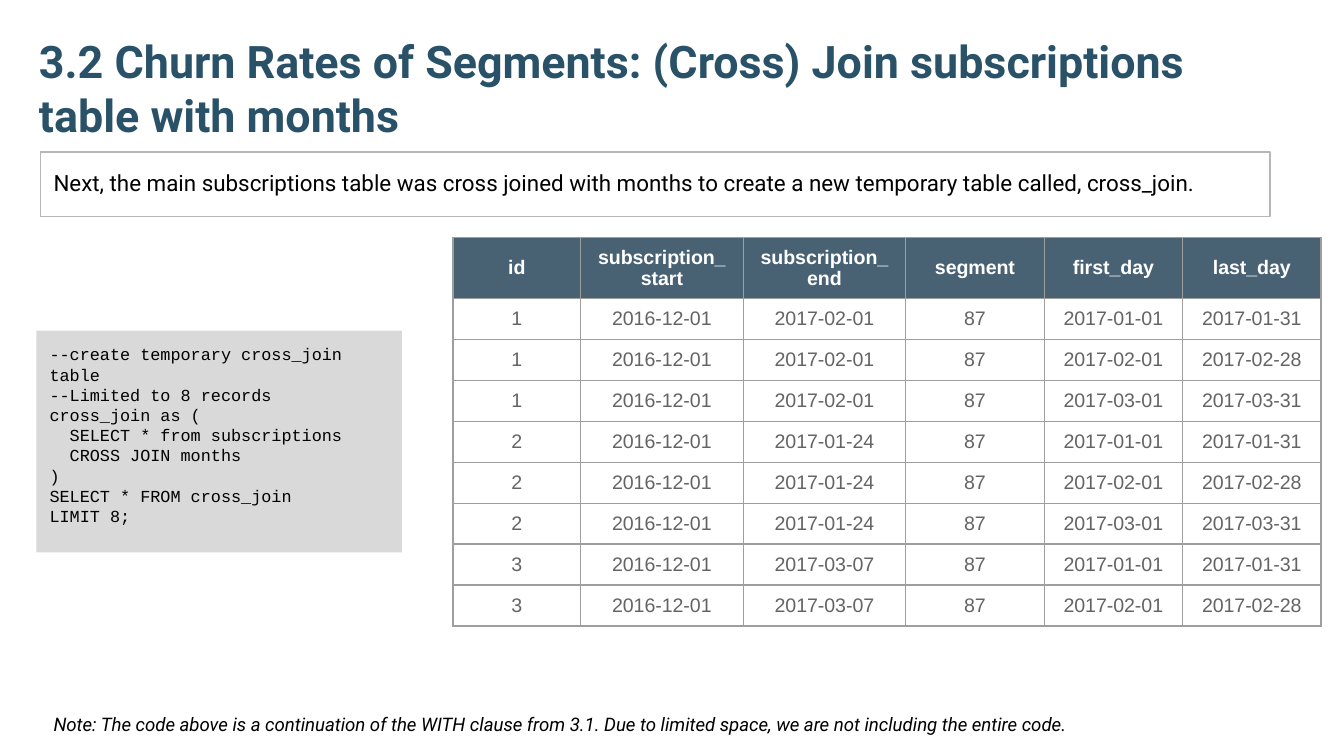
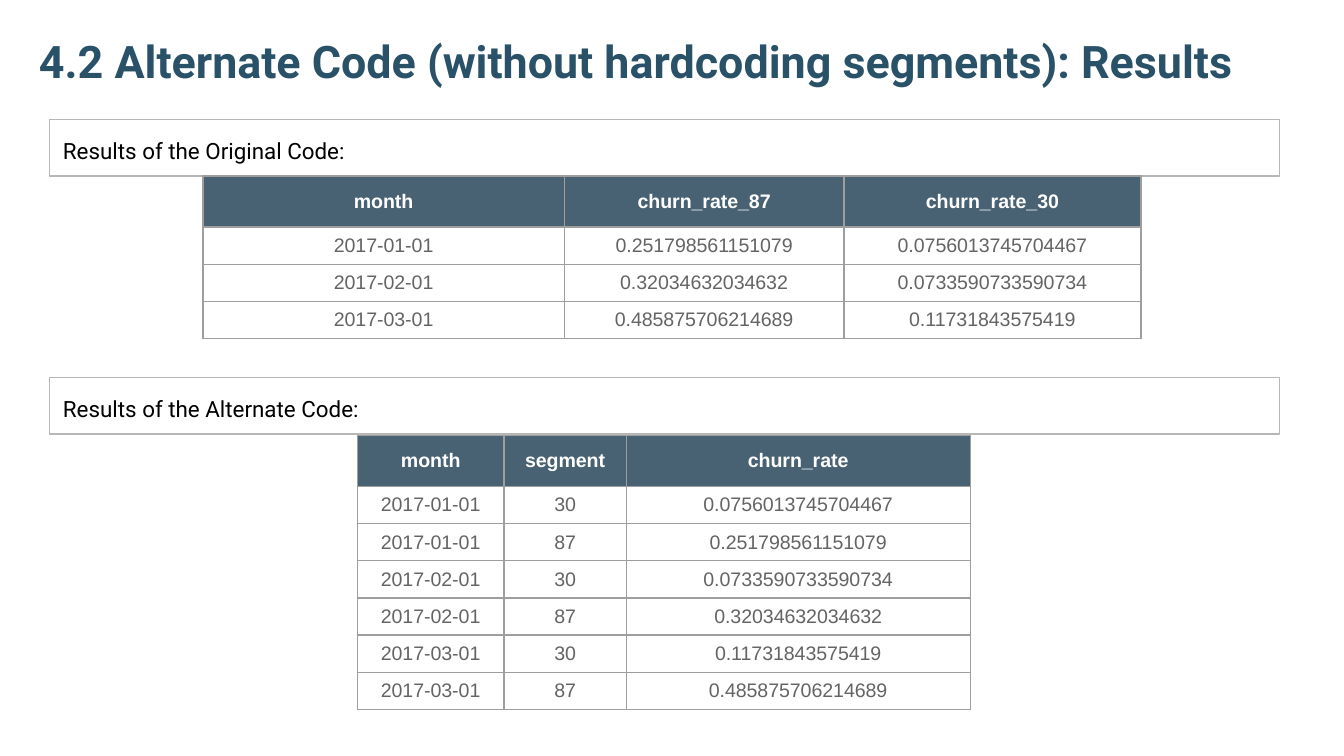
import itertools

import lxml.etree
import pptx
import pptx.dml.color
import pptx.enum.shapes
import pptx.enum.text
import pptx.oxml.ns
import pptx.util

# Content: slide 1, subscriptions cross joined with months
JOIN_TITLE = "3.2 Churn Rates of Segments: (Cross) Join subscriptions table with months"
JOIN_INTRO = ("Next, the main subscriptions table was cross joined with months "
              "to create a new temporary table called, cross_join.")
JOIN_CODE = [
    "--create temporary cross_join table",
    "--Limited to 8 records",
    "cross_join as (",
    "  SELECT * from subscriptions",
    "  CROSS JOIN months",
    ")",
    "SELECT * FROM cross_join",
    "LIMIT 8;",
]
JOIN_NOTE = ("Note: The code above is a continuation of the WITH clause from 3.1. "
             "Due to limited space, we are not including the entire code.")
JOIN_HEADER = ("id", "subscription_start", "subscription_end",
               "segment", "first_day", "last_day")
SUBSCRIPTIONS = [
    ("1", "2016-12-01", "2017-02-01", "87"),
    ("2", "2016-12-01", "2017-01-24", "87"),
    ("3", "2016-12-01", "2017-03-07", "87"),
]
MONTHS = [
    ("2017-01-01", "2017-01-31"),
    ("2017-02-01", "2017-02-28"),
    ("2017-03-01", "2017-03-31"),
]
JOIN_LIMIT = 8

# Content: slide 2, churn rates per month and segment
RESULTS_TITLE = "4.2 Alternate Code (without hardcoding segments): Results"
CHURN_RATES = [  # month, segment 87, segment 30
    ("2017-01-01", "0.251798561151079", "0.0756013745704467"),
    ("2017-02-01", "0.32034632034632", "0.0733590733590734"),
    ("2017-03-01", "0.485875706214689", "0.11731843575419"),
]
CHURN_BY_SEGMENT = [
    (month, segment, rate)
    for month, rate_87, rate_30 in CHURN_RATES
    for segment, rate in (("30", rate_30), ("87", rate_87))
]
RESULTS = [  # caption, caption top, table left, top and height, column widths, rows
    ("Results of the Original Code:", 0.89, 1.51, 1.31, 1.21, (2.69, 2.08, 2.21),
     [("month", "churn_rate_87", "churn_rate_30")] + CHURN_RATES),
    ("Results of the Alternate Code:", 2.81, 2.66, 3.24, 2.04, (1.09, 0.91, 2.56),
     [("month", "segment", "churn_rate")] + CHURN_BY_SEGMENT),
]

# Shared style
COLORS = {
    "title": "295269", "text": "000000", "code": "D9D9D9", "frame": "B7B7B7",
    "header": "204056", "header_text": "FFFFFF", "cell_text": "646466",
    "grid": "9E9E9E",
}
HEADER_OPACITY = 82
SLIDE_WIDTH = 10
SLIDE_HEIGHT = SLIDE_WIDTH * 9 / 16
FRAME_WIDTH = 9.15
INSET = 0.1
inch = pptx.util.Inches
point = pptx.util.Pt


def rgb(key):
    return pptx.dml.color.RGBColor.from_string(COLORS[key])


def write(paragraph, text, size, font, color, bold=False, italic=False):
    run = paragraph.add_run()
    run.text = text
    run.font.size = point(size)
    run.font.name = font
    run.font.color.rgb = rgb(color)
    run.font.bold = bold
    run.font.italic = italic


def set_frame(frame, anchor, vertical_inset=INSET):
    frame.word_wrap = True
    frame.auto_size = pptx.enum.text.MSO_AUTO_SIZE.NONE
    frame.vertical_anchor = anchor
    frame.margin_left = frame.margin_right = inch(INSET)
    frame.margin_top = frame.margin_bottom = inch(vertical_inset)


def add_titled_slide(deck, text, height):
    slide = deck.slides.add_slide(deck.slide_layouts[5])
    title = slide.shapes.title
    title.left, title.top = inch(0.19), inch(0.23)
    title.width, title.height = inch(9.32), inch(height)
    set_frame(title.text_frame, pptx.enum.text.MSO_ANCHOR.BOTTOM)
    heading = title.text_frame.paragraphs[0]
    heading.alignment = pptx.enum.text.PP_ALIGN.LEFT
    write(heading, text, 24, "Roboto", "title", bold=True)
    return slide


def add_box(slide, left, top, width, height):
    box = slide.shapes.add_shape(
        pptx.enum.shapes.MSO_SHAPE.RECTANGLE,
        inch(left), inch(top), inch(width), inch(height))
    box.shadow.inherit = False
    set_frame(box.text_frame, pptx.enum.text.MSO_ANCHOR.TOP)
    return box


def add_caption(slide, text, left, top, height):
    caption = add_box(slide, left, top, FRAME_WIDTH, height)
    caption.fill.background()
    caption.line.color.rgb = rgb("frame")
    caption.line.width = point(0.75)
    sentence = caption.text_frame.paragraphs[0]
    sentence.alignment = pptx.enum.text.PP_ALIGN.LEFT
    sentence.line_spacing = 1.15
    write(sentence, text, 12, "Roboto", "text")


def add_code(slide, lines, left, top, width, height):
    listing = add_box(slide, left, top, width, height)
    listing.fill.solid()
    listing.fill.fore_color.rgb = rgb("code")
    listing.line.fill.background()
    frame = listing.text_frame
    for index, line in enumerate(lines):
        paragraph = frame.add_paragraph() if index else frame.paragraphs[0]
        paragraph.alignment = pptx.enum.text.PP_ALIGN.LEFT
        write(paragraph, line, 9, "Courier New", "text")


def add_note(slide, text, left, top, width, height):
    note = slide.shapes.add_textbox(inch(left), inch(top), inch(width), inch(height))
    set_frame(note.text_frame, pptx.enum.text.MSO_ANCHOR.TOP, INSET / 2)
    note.text_frame.auto_size = pptx.enum.text.MSO_AUTO_SIZE.SHAPE_TO_FIT_TEXT
    sentence = note.text_frame.paragraphs[0]
    sentence.line_spacing = 1.15
    write(sentence, text, 10, "Roboto", "text", italic=True)


def add_xml(parent, tag, **attributes):
    return lxml.etree.SubElement(parent, pptx.oxml.ns.qn(tag), **attributes)


def style_cell(cell, is_header):
    properties = cell._tc.get_or_add_tcPr()
    # Borders come before the fill in the cell properties
    for side in ("a:lnL", "a:lnR", "a:lnT", "a:lnB"):
        border = add_xml(properties, side, w=str(point(0.75)))
        add_xml(add_xml(border, "a:solidFill"), "a:srgbClr", val=COLORS["grid"])
    if is_header:
        cell.fill.solid()
        cell.fill.fore_color.rgb = rgb("header")
        fill_color = properties.find(pptx.oxml.ns.qn("a:solidFill"))[0]
        add_xml(fill_color, "a:alpha", val=str(HEADER_OPACITY * 1000))
    else:
        cell.fill.background()


def add_grid(slide, rows, left, top, widths, height, header_height):
    """The rows below the header share the rest of the height equally."""
    row_height = (height - header_height) / (len(rows) - 1)
    table = slide.shapes.add_table(
        len(rows), len(widths), inch(left), inch(top),
        inch(sum(widths)), inch(height)).table
    table.horz_banding = False
    for column, width in zip(table.columns, widths):
        column.width = inch(width)
    for index, (row, values) in enumerate(zip(table.rows, rows)):
        is_header = index == 0
        row.height = inch(header_height if is_header else row_height)
        for cell, value in zip(row.cells, values):
            style_cell(cell, is_header)
            cell.vertical_anchor = pptx.enum.text.MSO_ANCHOR.MIDDLE
            entry = cell.text_frame.paragraphs[0]
            entry.alignment = pptx.enum.text.PP_ALIGN.CENTER
            write(entry, value, 10.5, "Arial",
                  "header_text" if is_header else "cell_text", bold=is_header)


def build_join_slide(deck):
    slide = add_titled_slide(deck, JOIN_TITLE, 0.92)
    add_code(slide, JOIN_CODE, 0.27, 2.46, 2.72, 1.65)
    add_caption(slide, JOIN_INTRO, 0.3, 1.13, 0.48)
    add_note(slide, JOIN_NOTE, 0.3, 5.23, 9.32, 0.28)
    pairs = itertools.product(SUBSCRIPTIONS, MONTHS)
    joined = [subscription + month for subscription, month in pairs][:JOIN_LIMIT]
    widths = (0.95, 1.21, 1.21, 1.03, 1.03, 1.03)
    add_grid(slide, [JOIN_HEADER] + joined, 3.37, 1.77, widths, 2.89, 0.45)


def build_results_slide(deck):
    slide = add_titled_slide(deck, RESULTS_TITLE, 0.52)
    for caption, caption_top, left, top, height, widths, rows in RESULTS:
        add_caption(slide, caption, 0.37, caption_top, 0.42)
        add_grid(slide, rows, left, top, widths, height, 0.38)


def main():
    deck = pptx.Presentation()
    deck.slide_width, deck.slide_height = inch(SLIDE_WIDTH), inch(SLIDE_HEIGHT)
    build_join_slide(deck)
    build_results_slide(deck)
    deck.save("out.pptx")


if __name__ == "__main__":
    main()
